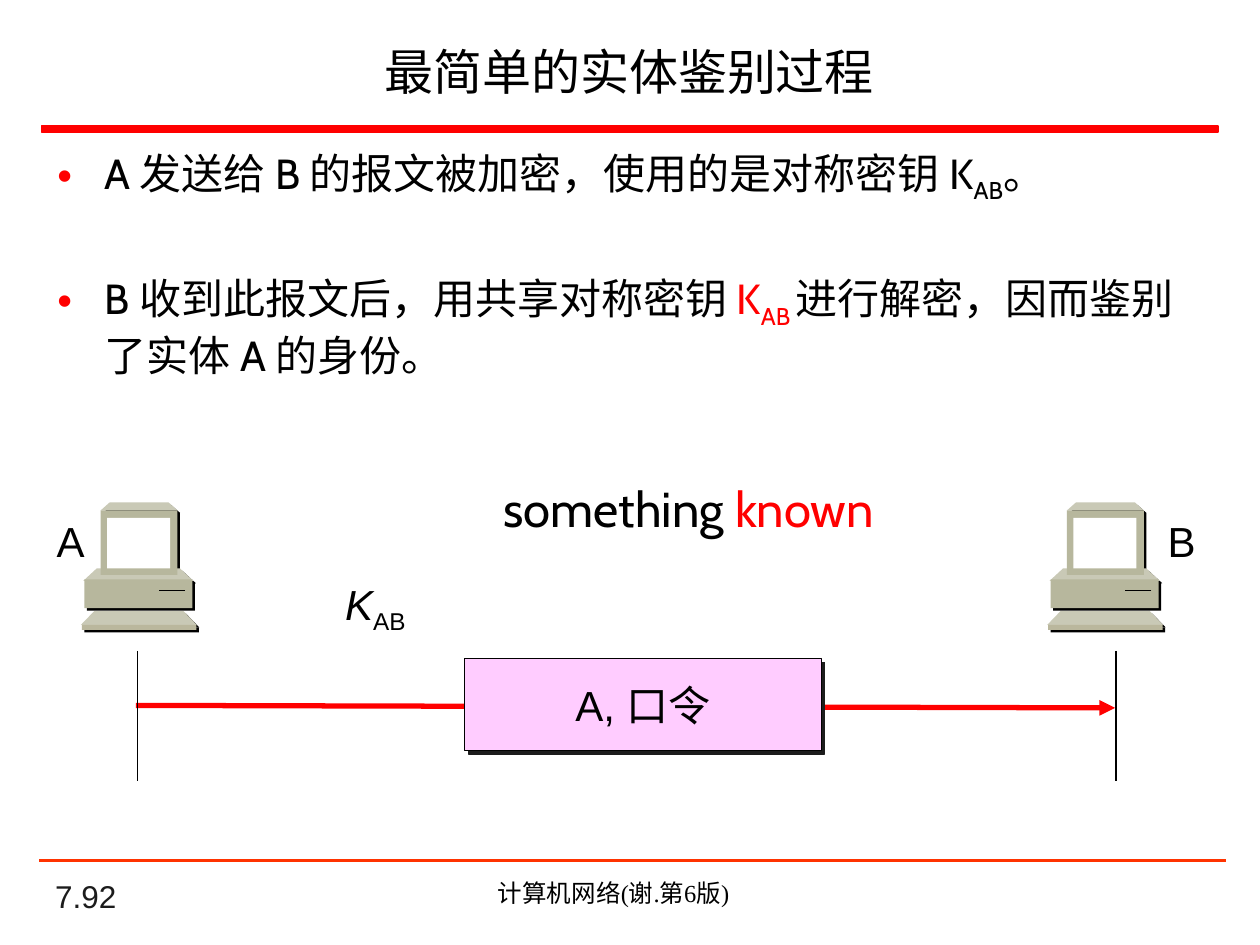
"""Builds the slide on the simplest entity authentication between A and B."""
from pptx import Presentation
from pptx.dml.color import RGBColor
from pptx.enum.shapes import MSO_CONNECTOR, MSO_SHAPE
from pptx.enum.text import MSO_ANCHOR, PP_ALIGN
from pptx.oxml import parse_xml
from pptx.oxml.ns import nsdecls, qn
from pptx.util import Cm, Pt

HUES = {"red": "FF0000", "rust": "FF3300", "black": "000000", "dark": "1C1C1C",
        "white": "FFFFFF", "pink": "FFCCFF", "light": "C9C9B6", "khaki": "B7B79D",
        "edge": "BAB79D"}
PARTS = [
    ("light", 1.68, 11.46, 2.22, 0.25, 0.27),
    ("light", 2.03, 10.13, 1.55, 0.16, 0.18),
    ("khaki", 2.03, 10.29, 1.55, 1.3, 0),
    ("khaki", 1.7, 11.68, 2.18, 0.58, 0),
    ("light", 1.63, 12.32, 2.34, 0.28, 0.27),
    ("edge", 1.65, 12.6, 2.31, 0.1, 0),
]


def hue(name):
    return RGBColor.from_string(HUES[name])


def node(tag, inner="", **attrs):
    text = " ".join(f'{key}="{val}"' for key, val in attrs.items())
    return parse_xml(f'<a:{tag} {nsdecls("a")} {text}>{inner}</a:{tag}>')


def tint(name):
    return f'<a:srgbClr val="{HUES[name]}"/>'


class Board:
    def __init__(self, deck):
        self.slide = deck.slides.add_slide(deck.slide_layouts[5])
        self.shapes = self.slide.shapes

    def ink(self, par, runs, size, font="Arial", align=None):
        if align:
            par.alignment = align
        for text, color, *marks in runs:
            run = par.add_run()
            run.text = text
            run.font.size, run.font.name = Pt(size), font
            run.font.color.rgb = hue(color)
            if "italic" in marks:
                run.font.italic = True
            if "sub" in marks:
                run.font._element.set("baseline", "-25000")

    def title(self, text, *box):
        shape = self.shapes.title
        shape.left, shape.top, shape.width, shape.height = map(Cm, box)
        shape.text_frame.vertical_anchor = MSO_ANCHOR.MIDDLE
        self.ink(shape.text_frame.paragraphs[0], [(text, "black")], 28, "Cabin",
                 PP_ALIGN.CENTER)

    def text(self, box, runs, size, font="Arial", align=None, wrap=False,
             anchor=MSO_ANCHOR.TOP):
        frame = self.shapes.add_textbox(*map(Cm, box)).text_frame
        frame.word_wrap, frame.vertical_anchor = wrap, anchor
        self.ink(frame.paragraphs[0], runs, size, font, align)

    def points(self, box, items, gap):
        frame = self.shapes.add_textbox(*map(Cm, box)).text_frame
        frame.word_wrap = True
        for i, runs in enumerate(items):
            par = frame.add_paragraph() if i else frame.paragraphs[0]
            props = par._p.get_or_add_pPr()
            props.set("marL", str(Cm(0.95)))
            props.set("indent", str(Cm(-0.95)))
            props.append(node("buClr", tint("red")))
            props.append(node("buFont", typeface="Arial"))
            props.append(node("buChar", char="•"))
            par.space_before = Pt(gap if i else 0)
            self.ink(par, runs, 24, "Cabin")

    def paint(self, shape, fill, line=None, width=1):
        shape.shadow.inherit = False
        shape.fill.solid()
        shape.fill.fore_color.rgb = hue(fill)
        if line:
            shape.line.color.rgb, shape.line.width = hue(line), Pt(width)
        else:
            shape.line.fill.background()
        return shape

    def rect(self, box, fill, line=None, width=1, home=None):
        shape = (home or self.shapes).add_shape(MSO_SHAPE.RECTANGLE, *map(Cm, box))
        return self.paint(shape, fill, line, width)

    def slope(self, box, inset, fill, home):
        x, y, w, h = box
        pts = [(x + inset, y), (x + w - inset, y), (x + w, y + h)]
        pen = home.build_freeform(Cm(x), Cm(y + h))
        pen.add_line_segments([(Cm(a), Cm(b)) for a, b in pts], close=True)
        self.paint(pen.convert_to_shape(), fill)

    def line(self, ends, color, width, arrow=False, home=None):
        link = (home or self.shapes).add_connector(MSO_CONNECTOR.STRAIGHT, *map(Cm, ends))
        link.line.color.rgb, link.line.width = hue(color), Pt(width)
        props = link._element.spPr
        if arrow:
            props.find(qn("a:ln")).append(node("tailEnd", type="triangle"))
        props.append(node("effectLst"))

    def host(self, dx):
        home = self.shapes.add_group_shape().shapes
        for shift, shade in ((0.05, "black"), (0, None)):
            for fill, x, y, w, h, inset in PARTS:
                box = (x + dx + shift, y + shift, w, h)
                if inset:
                    self.slope(box, inset, shade or fill, home)
                else:
                    self.rect(box, shade or fill, home=home)
        self.rect((2.16 + dx, 10.44, 1.27, 1.02), "white", home=home)
        self.line((3.73 + dx, 11.91, 3.2 + dx, 11.91), "black", 0.63, home=home)

    def packet(self, box, text):
        shape = self.rect(box, "pink", "black", 0.75)
        shape._element.spPr.find(qn("a:effectLst")).append(
            node("outerShdw", tint("dark"), dist=Pt(2.8), dir=45 * 60000,
                 algn="ctr", rotWithShape=0))
        frame = shape.text_frame
        frame.word_wrap, frame.vertical_anchor = False, MSO_ANCHOR.MIDDLE
        self.ink(frame.paragraphs[0], [(text, "black")], 24, align=PP_ALIGN.CENTER)


def main():
    deck = Presentation()
    deck.slide_width, deck.slide_height = Cm(25.4), Cm(19.05)
    board = Board(deck)
    board.text((0.86, 17.73, 5.28, 0.84), [("7.92", "dark")], 18, wrap=True,
               anchor=MSO_ANCHOR.BOTTOM)
    board.rect((0.84, 2.54, 23.72, 0.13), "red", "red")
    board.line((0.79, 17.35, 24.71, 17.35), "rust", 1.5)
    board.text((7.19, 17.58, 10.36, 0.86), [("计算机网络(谢.第6版)", "black")], 14,
               "Times New Roman", PP_ALIGN.CENTER, True)
    board.title("最简单的实体鉴别过程", 0.99, 0.56, 23.39, 1.75)
    board.points((0.91, 2.84, 23.57, 5.26), [
        [("A 发送给 B 的报文被加密，使用的是对称密钥 K", "black"),
         ("AB", "black", "sub"), ("。", "black")],
        [("B 收到此报文后，用共享对称密钥 ", "black"), ("K", "red"),
         ("AB ", "red", "sub"), ("进行解密，因而鉴别了实体 A 的身份。", "black")],
    ], 39)
    board.line((2.74, 14.22, 22.48, 14.27), "red", 3, arrow=True)
    for name, left, dx, axis in (("A", 0.89, 0, 2.77), ("B", 23.29, 19.48, 22.5)):
        board.text((left, 10.26, 1.08, 1.27), [(name, "black")], 24)
        board.host(dx)
        board.line((axis, 13.12, axis, 15.74), "black", 0.75)
    board.packet((9.37, 13.28, 7.19, 1.85), "A, 口令")
    board.text((6.71, 11.53, 1.83, 1.27),
               [("K", "black", "italic"), ("AB", "black", "sub")], 24)
    board.text((9.73, 9.53, 8.31, 1.45),
               [("something ", "black"), ("known", "red")], 28, "Cabin", PP_ALIGN.CENTER)
    deck.save("out.pptx")


if __name__ == "__main__":
    main()
